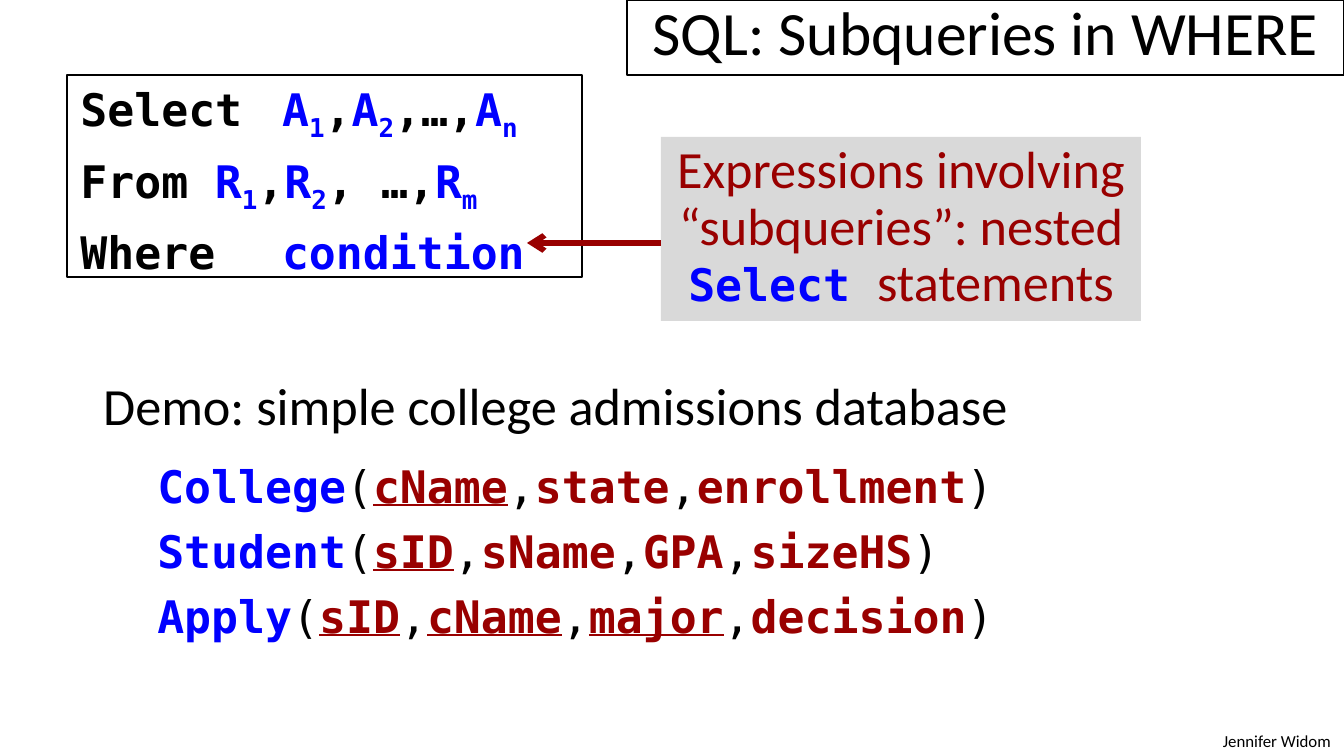
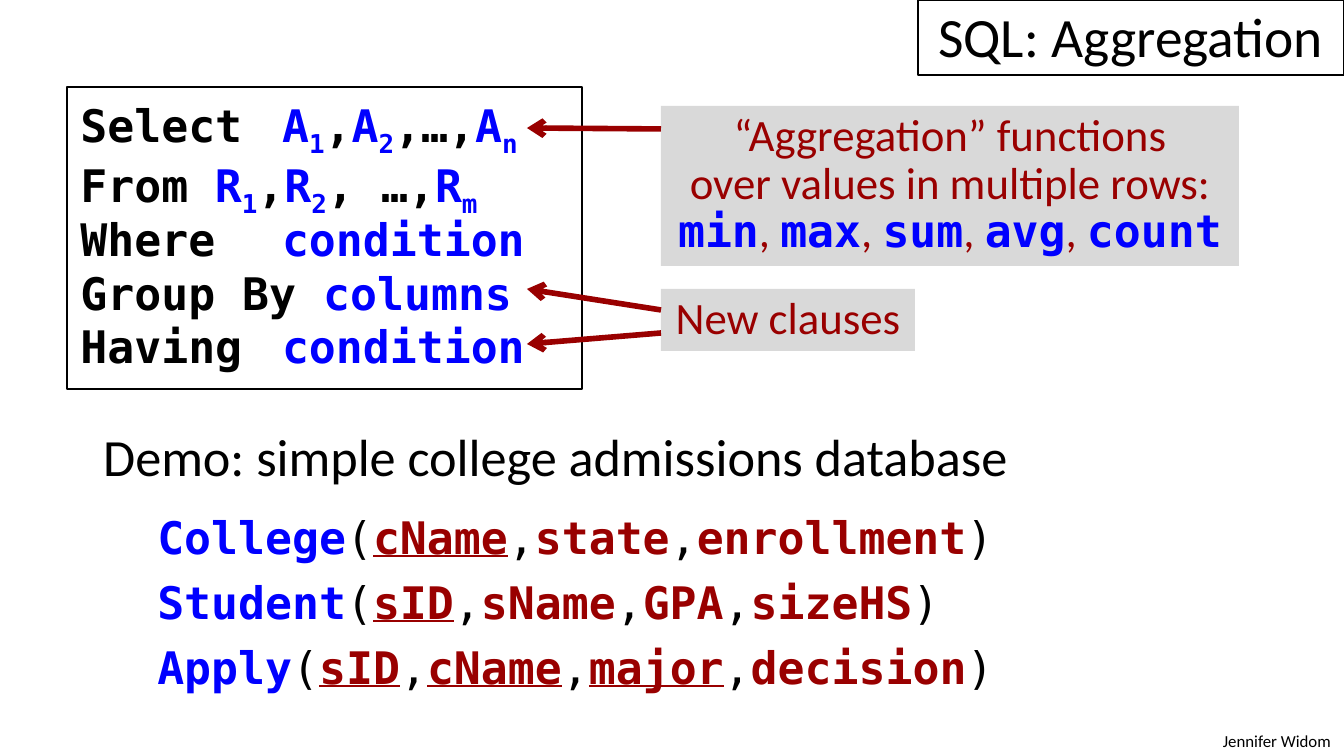
from dataclasses import dataclass

from pptx import Presentation
from pptx.dml.color import RGBColor
from pptx.enum.shapes import MSO_CONNECTOR, MSO_SHAPE
from pptx.enum.text import MSO_ANCHOR, MSO_AUTO_SIZE, PP_ALIGN
from pptx.oxml.ns import qn
from pptx.util import Emu, Pt
from lxml import etree

RECT = MSO_SHAPE.RECTANGLE
STRAIGHT = MSO_CONNECTOR.STRAIGHT
TOP, MIDDLE, BOTTOM = MSO_ANCHOR.TOP, MSO_ANCHOR.MIDDLE, MSO_ANCHOR.BOTTOM
LEFT, CENTER, RIGHT = PP_ALIGN.LEFT, PP_ALIGN.CENTER, PP_ALIGN.RIGHT
NO_FIT = MSO_AUTO_SIZE.NONE

BLACK = RGBColor(0x00, 0x00, 0x00)
BLUE = RGBColor(0x00, 0x00, 0xFF)
RED = RGBColor(0x99, 0x00, 0x00)
GRAY = RGBColor(0xD9, 0xD9, 0xD9)

SANS, MONO = "Calibri", "DejaVu Sans Mono"
CODE_SIZE = 24
CODE_GAP = 5.6
EMU_PER_PX = 914400 / 134.4
WIDTH, HEIGHT = 1344, 756
TITLE_HEIGHT = 75
QUERY_LEFT, QUERY_WIDTH, QUERY_TAB = 67, 515, 189
ARROW_TIP, CALLOUT_LEFT = 527, 661
SCHEMA_INDENT = 54


@dataclass(frozen=True)
class Clause:
    """A query line; names in terms are blue, and _ starts a subscript."""
    keyword: str
    terms: str
    gap: str = "\t"


@dataclass(frozen=True)
class Relation:
    """A database relation with its key and its other attributes."""
    name: str
    keys: tuple[str, ...]
    others: tuple[str, ...]


@dataclass(frozen=True)
class Callout:
    """A gray note; each line is a tuple of (text, is_code) pieces."""
    top: int
    width: int
    height: int
    size: int
    lines: tuple[tuple[tuple[str, bool], ...], ...]


@dataclass(frozen=True)
class Arrow:
    """An arrow from a callout to the query: heights of tip and tail."""
    tip: int
    tail: int


@dataclass(frozen=True)
class Lesson:
    """Everything that differs from one slide to the next."""
    title: str
    title_left: int
    title_size: float
    query_top: int
    query_height: int
    query_anchor: MSO_ANCHOR
    line_spacing: float
    first_gap: float
    clauses: tuple[Clause, ...]
    callouts: tuple[Callout, ...]
    arrows: tuple[Arrow, ...]
    demo_top: int


SELECT = Clause("Select", "A_1|,|A_2|,…,|A_n")
FROM = Clause("From", "R_1|,|R_2|, …,|R_m")
WHERE = Clause("Where", "condition")
GROUP_BY = Clause("Group By", "columns", gap=" ")
HAVING = Clause("Having", "condition")

RELATIONS = (
    Relation("College", ("cName",), ("state", "enrollment")),
    Relation("Student", ("sID",), ("sName", "GPA", "sizeHS")),
    Relation("Apply", ("sID", "cName", "major"), ("decision",)),
)

LESSONS = (
    Lesson(
        "SQL: Subqueries in WHERE", 627, 33, 75, 202, TOP, 1.0, 0,
        (SELECT, FROM, WHERE),
        (Callout(137, 480, 184, 28, (
            (("Expressions involving", False),),
            (("“subqueries”: nested", False),),
            (("Select ", True), ("statements", False)))),),
        (Arrow(243, 243),), 367),
    Lesson(
        "SQL: Aggregation", 918, 29.7, 87, 302, MIDDLE, 0.8, 6,
        (SELECT, FROM, WHERE, GROUP_BY, HAVING),
        (Callout(106, 578, 160, 24, (
            (("“Aggregation” functions", False),),
            (("over values in multiple rows:", False),),
            (("min", True), (", ", False), ("max", True), (", ", False),
             ("sum", True), (", ", False), ("avg", True), (", ", False),
             ("count", True)))),
         Callout(289, 254, 62, 24, ((("New clauses", False),),))),
        (Arrow(128, 129), Arrow(289, 310), Arrow(344, 333)), 418),
)


def px(n: float) -> Emu:
    """Turn pixels into EMU."""
    return Emu(round(n * EMU_PER_PX))


def place(s, x: int, y: int, w: int, h: int) -> None:
    """Move and size a shape, in pixels."""
    s.left, s.top, s.width, s.height = px(x), px(y), px(w), px(h)


def outline(s) -> None:
    """Give a shape a thin black border and no fill."""
    s.fill.background()
    s.line.color.rgb = BLACK
    s.line.width = Pt(0.75)


def frame(s, anchor=TOP, wrap: bool = True):
    """Prepare the text frame of a shape and return it."""
    tf = s.text_frame
    tf.auto_size = NO_FIT
    tf.word_wrap = wrap
    tf.vertical_anchor = anchor
    return tf


def add_paragraph(tf, first: bool, *, align=LEFT, spacing: float = 1.0,
                  before: float = 0, after: float = 0):
    """Start a paragraph, using the existing one when it is the first."""
    p = tf.paragraphs[0] if first else tf.add_paragraph()
    p.alignment, p.line_spacing = align, spacing
    p.space_before, p.space_after = Pt(before), Pt(after)
    return p


def add_run(p, text: str, *, size: float = CODE_SIZE, font: str = MONO,
            color: RGBColor = BLACK, bold: bool = False,
            underline: bool = False, subscript: bool = False) -> None:
    """Add formatted text to a paragraph."""
    r = p.add_run()
    r.text = text
    r.font.size, r.font.name = Pt(size), font
    r.font.bold, r.font.underline = bold, underline
    r.font.color.rgb = color
    if subscript:
        r._r.get_or_add_rPr().set("baseline", "-25000")


def set_margin(p, left: int, tab: int = 0) -> None:
    """Set the left margin without bullet, and a tab stop if given."""
    pPr = p._p.get_or_add_pPr()
    pPr.set("marL", str(px(left)))
    pPr.set("indent", "0")
    etree.SubElement(pPr, qn("a:buNone"))
    if tab:
        tabs = etree.SubElement(pPr, qn("a:tabLst"))
        etree.SubElement(tabs, qn("a:tab"), pos=str(px(tab)), algn="l")


def add_title(slide, lesson: Lesson) -> None:
    """Fill the boxed title in the top right corner."""
    s = slide.shapes.title
    place(s, lesson.title_left, 0, WIDTH - lesson.title_left, TITLE_HEIGHT)
    outline(s)
    p = add_paragraph(frame(s, BOTTOM), True, align=CENTER)
    add_run(p, lesson.title, size=lesson.title_size, font=SANS)


def add_query(slide, lesson: Lesson) -> None:
    """Fill the body placeholder with the query pattern."""
    s = slide.placeholders[1]
    place(s, QUERY_LEFT, lesson.query_top, QUERY_WIDTH, lesson.query_height)
    outline(s)
    tf = frame(s, lesson.query_anchor)
    for i, clause in enumerate(lesson.clauses):
        p = add_paragraph(tf, i == 0, spacing=lesson.line_spacing,
                          before=CODE_GAP if i else lesson.first_gap)
        set_margin(p, 0, QUERY_TAB)
        add_run(p, clause.keyword + clause.gap, bold=True)
        for term in clause.terms.split("|"):
            name, _, index = term.partition("_")
            color = BLUE if name.isalpha() else BLACK
            add_run(p, name, color=color, bold=True)
            if index:
                add_run(p, index, color=color, bold=True, subscript=True)


def add_demo(slide, top: int) -> None:
    """Write the demo heading and the database schema."""
    s = slide.shapes.add_textbox(px(90), px(top), px(1098), px(285))
    tf = frame(s)
    p = add_paragraph(tf, True, after=12)
    add_run(p, "Demo: simple college admissions database", size=28, font=SANS)
    for relation in RELATIONS:
        p = add_paragraph(tf, False, after=6)
        set_margin(p, SCHEMA_INDENT)
        add_run(p, relation.name, color=BLUE, bold=True)
        for i, name in enumerate(relation.keys + relation.others):
            add_run(p, "," if i else "(")
            add_run(p, name, color=RED, bold=True,
                    underline=i < len(relation.keys))
        add_run(p, ")")


def add_callout(slide, note: Callout) -> None:
    """Draw a gray note with red text and blue code."""
    s = slide.shapes.add_shape(RECT, px(CALLOUT_LEFT), px(note.top),
                               px(note.width), px(note.height))
    s.shadow.inherit = False
    s.fill.solid()
    s.fill.fore_color.rgb = GRAY
    s.line.fill.background()
    tf = frame(s, wrap=False)
    for i, line in enumerate(note.lines):
        p = add_paragraph(tf, i == 0, align=CENTER, spacing=0.9)
        for text, is_code in line:
            if is_code:
                add_run(p, text, color=BLUE, bold=True)
            else:
                add_run(p, text, size=note.size, font=SANS, color=RED)


def add_arrow(slide, arrow: Arrow) -> None:
    """Draw a red arrow that points at the query."""
    s = slide.shapes.add_connector(STRAIGHT, px(ARROW_TIP), px(arrow.tip),
                                   px(CALLOUT_LEFT), px(arrow.tail))
    s.line.color.rgb = RED
    s.line.width = Pt(3)
    spPr = s._element.spPr
    etree.SubElement(spPr.find(qn("a:ln")), qn("a:headEnd"), type="arrow")
    etree.SubElement(spPr, qn("a:effectLst"))


def add_footer(slide) -> None:
    """Write the lecturer's name in the bottom right corner."""
    s = slide.shapes.add_textbox(px(1199), px(724), px(145), px(32))
    p = add_paragraph(frame(s), True, align=RIGHT)
    add_run(p, "Jennifer Widom", size=9, font=SANS)


def build() -> None:
    """Build the slides and save them."""
    prs = Presentation()
    prs.slide_width, prs.slide_height = px(WIDTH), px(HEIGHT)
    for lesson in LESSONS:
        slide = prs.slides.add_slide(prs.slide_layouts[1])
        add_footer(slide)
        add_title(slide, lesson)
        add_query(slide, lesson)
        add_demo(slide, lesson.demo_top)
        for note in lesson.callouts:
            add_callout(slide, note)
        for arrow in lesson.arrows:
            add_arrow(slide, arrow)
    prs.save("out.pptx")


build()
